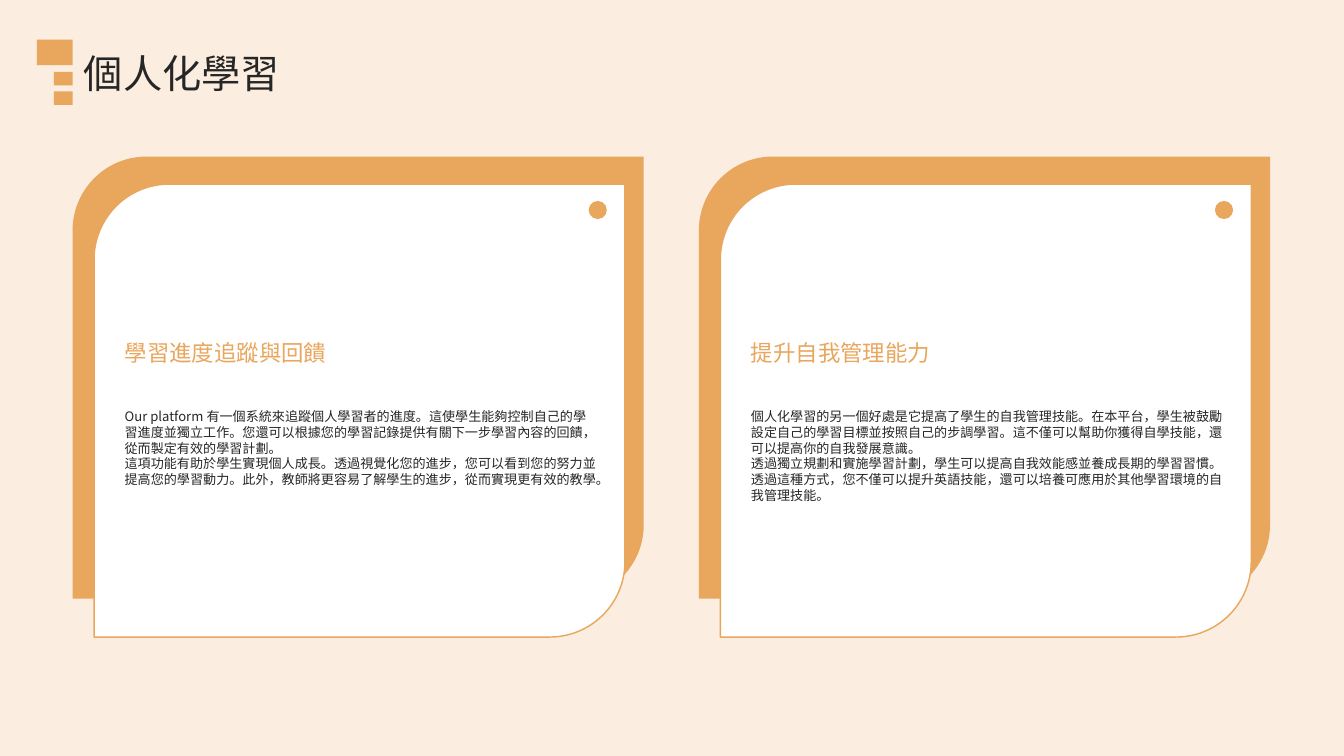
from dataclasses import dataclass

from lxml.etree import SubElement
from pptx import Presentation
from pptx.dml.color import RGBColor
from pptx.enum.shapes import MSO_SHAPE
from pptx.oxml.ns import qn
from pptx.util import Inches, Pt

CELL = 0.25
COLUMNS, ROWS = 80, 45
FONT = "Noto Sans CJK SC"
CREAM, ORANGE, WHITE, INK = "FBEDDF", "E9A65D", "FFFFFF", "262626"
LINE_SPACING = 1.2
CARD_LEFT, CARD_TOP, CARD_WIDTH, CARD_HEIGHT, CARD_GAP = 4.32, 9.32, 34, 28.6, 3.28

CARDS = [
    (
        "學習進度追蹤與回饋",
        [
            "Our platform 有一個系統來追蹤個人學習者的進度。這使學生能夠控制自己的學習進度並獨立工作。您還可以根據您的學習記錄提供有關下一步學習內容的回饋，從而製定有效的學習計劃。",
            "這項功能有助於學生實現個人成長。透過視覺化您的進步，您可以看到您的努力並提高您的學習動力。此外，教師將更容易了解學生的進步，從而實現更有效的教學。",
        ],
    ),
    (
        "提升自我管理能力",
        [
            "個人化學習的另一個好處是它提高了學生的自我管理技能。在本平台，學生被鼓勵設定自己的學習目標並按照自己的步調學習。這不僅可以幫助你獲得自學技能，還可以提高你的自我發展意識。",
            "透過獨立規劃和實施學習計劃，學生可以提高自我效能感並養成長期的學習習慣。透過這種方式，您不僅可以提升英語技能，還可以培養可應用於其他學習環境的自我管理技能。",
        ],
    ),
]


@dataclass
class Box:
    """A rectangle measured in grid cells."""

    left: float
    top: float
    width: float
    height: float

    def inner(self, left, top, width, height):
        """Return a box offset from this box's top left corner."""
        return Box(self.left + left, self.top + top, width, height)

    def lengths(self):
        """Return the left, top, width and height as lengths."""
        return [Inches(cells * CELL) for cells in (self.left, self.top, self.width, self.height)]


def color(hex_string):
    """Turn a hex string into a colour."""
    return RGBColor.from_string(hex_string)


def add_filled_shape(slide, kind, box, fill, outline=None):
    """Add a flat preset shape with an optional outline."""
    shape = slide.shapes.add_shape(kind, *box.lengths())
    shape.shadow.inherit = False
    shape.fill.solid()
    shape.fill.fore_color.rgb = color(fill)
    if outline:
        shape.line.color.rgb = color(outline)
        shape.line.width = Pt(1.5)
    else:
        shape.line.fill.background()
    return shape


def add_leaf(slide, box, radius, fill, outline=None):
    """Add a rectangle rounded at the top left and bottom right."""
    leaf = add_filled_shape(slide, MSO_SHAPE.ROUND_2_DIAG_RECTANGLE, box, fill, outline)
    leaf.adjustments[0] = radius / min(box.width, box.height)
    leaf.adjustments[1] = 0


def add_text(slide, box, texts, size, text_color):
    """Add a text box holding one paragraph for each text."""
    frame = slide.shapes.add_textbox(*box.lengths()).text_frame
    frame.word_wrap = True
    frame.margin_left = frame.margin_top = frame.margin_right = frame.margin_bottom = 0
    for index, text in enumerate(texts):
        paragraph = frame.add_paragraph() if index else frame.paragraphs[0]
        paragraph.line_spacing = Pt(size * LINE_SPACING)
        run = paragraph.add_run()
        run.text = text
        run.font.size = Pt(size)
        run.font.name = FONT
        run.font.color.rgb = color(text_color)
        SubElement(run.font._element, qn("a:ea"), typeface=FONT)


def add_header(slide, box, title):
    """Place the three square marks and the title beside them."""
    marks = [(0, 0, 2.12, 1.52), (1, 1.92, 1.12, 0.8), (1, 3.08, 1.12, 0.8)]
    for mark in marks:
        add_filled_shape(slide, MSO_SHAPE.RECTANGLE, box.inner(*mark), ORANGE)
    add_text(slide, box.inner(2.8, 0.6, box.width - 2.8, 3.16), [title], 42, INK)


def add_card(slide, box, heading, paragraphs):
    """Place a layered card with its dot, heading and body."""
    add_leaf(slide, box.inner(0, 0, box.width, 26.32), 4.4, ORANGE)
    add_leaf(slide, box.inner(1.28, 1.64, 31.6, box.height - 1.64), 4.48, WHITE, ORANGE)
    add_filled_shape(slide, MSO_SHAPE.OVAL, box.inner(30.72, 2.64, 1.08, 1.08), ORANGE)
    add_text(slide, box.inner(3.1, 10.88, 28.16, 1.8), [heading], 24, ORANGE)
    add_text(slide, box.inner(3.1, 15, 28.16, 5.64), paragraphs, 14, INK)


def main():
    """Build the slide and save it."""
    presentation = Presentation()
    presentation.slide_width = Inches(COLUMNS * CELL)
    presentation.slide_height = Inches(ROWS * CELL)
    slide = presentation.slides.add_slide(presentation.slide_layouts[6])
    slide.background.fill.solid()
    slide.background.fill.fore_color.rgb = color(CREAM)
    for index, (heading, paragraphs) in enumerate(CARDS):
        left = CARD_LEFT + index * (CARD_WIDTH + CARD_GAP)
        add_card(slide, Box(left, CARD_TOP, CARD_WIDTH, CARD_HEIGHT), heading, paragraphs)
    add_header(slide, Box(2.2, 2.36, 74, 3.88), "個人化學習")
    presentation.save("out.pptx")


if __name__ == "__main__":
    main()
